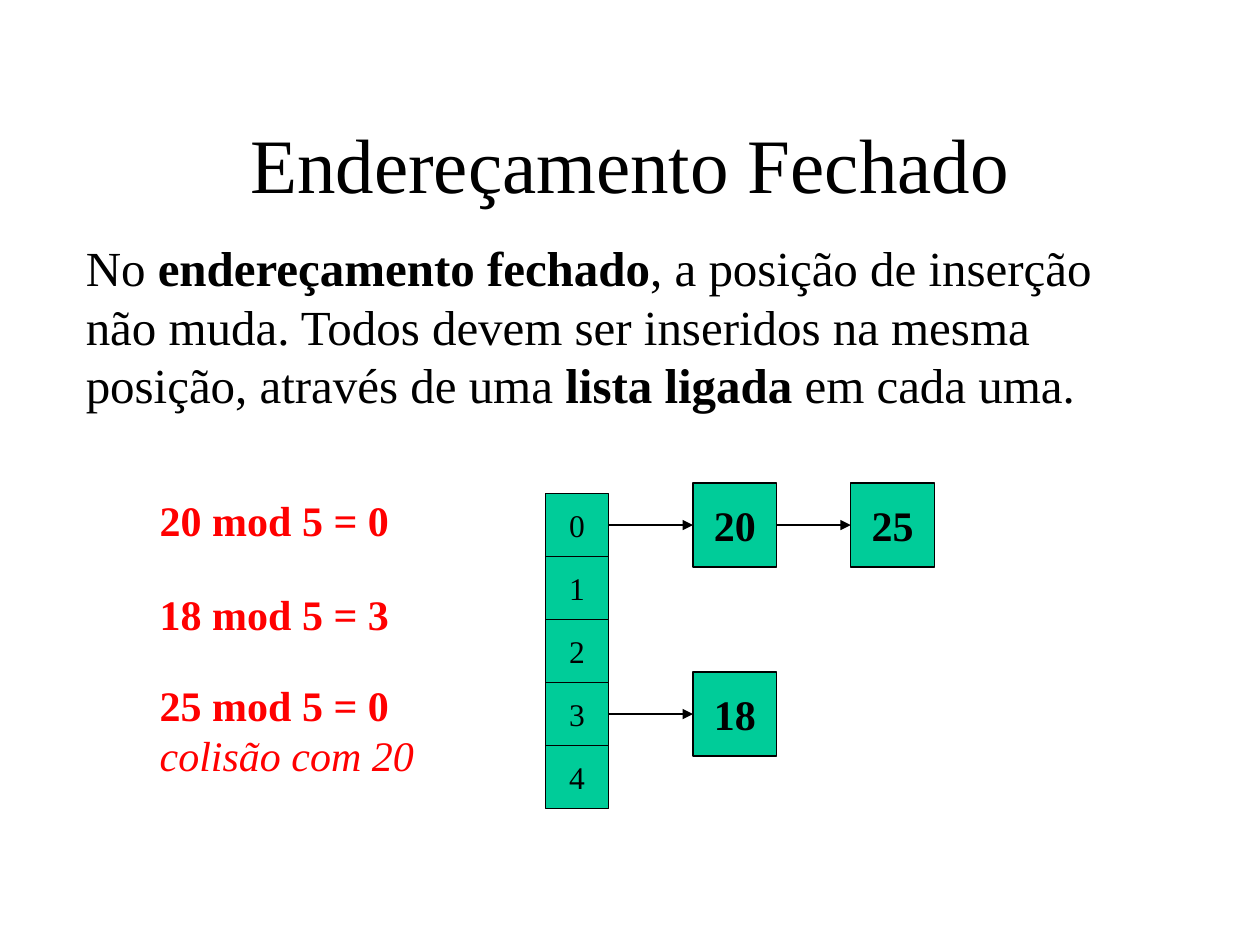
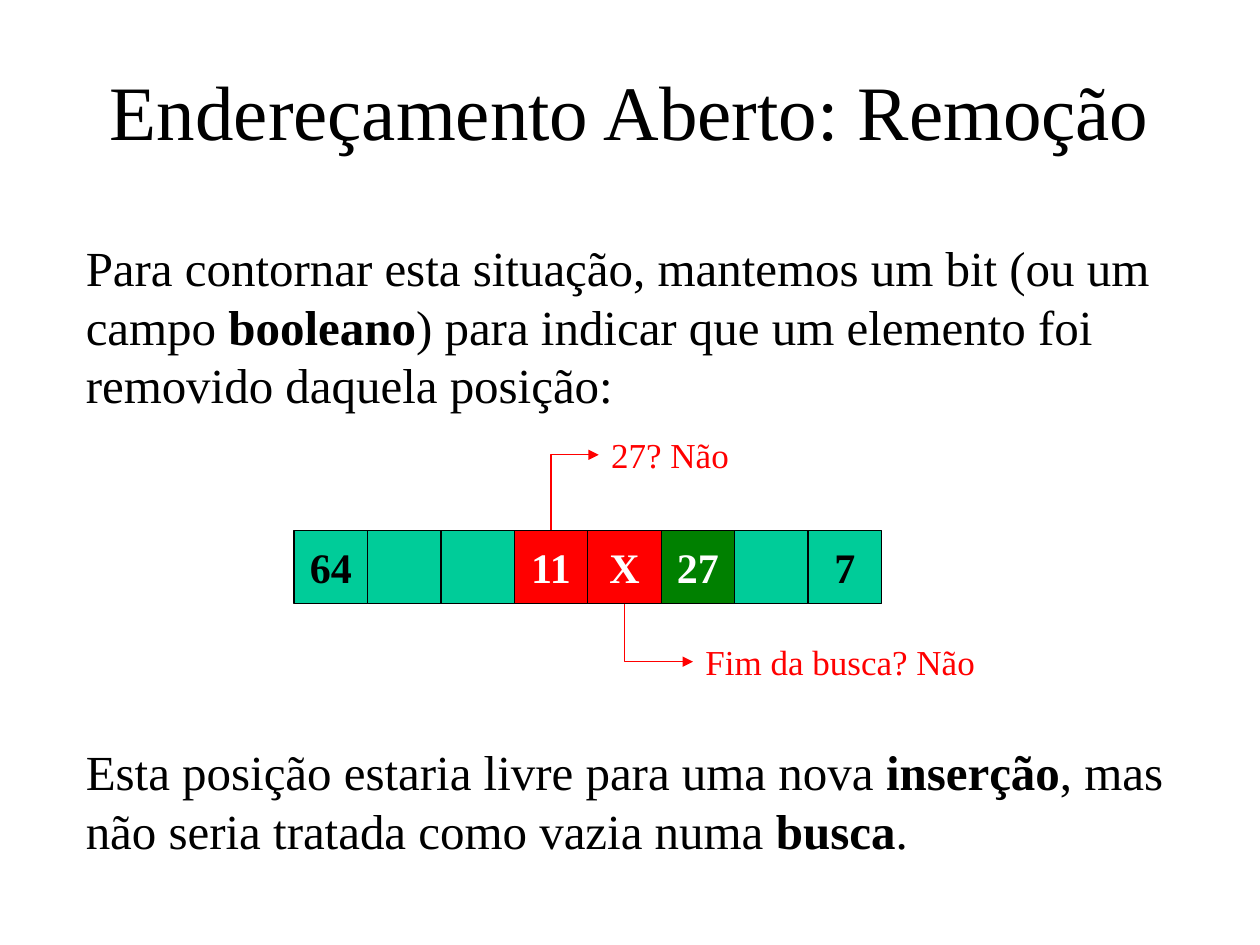
from lxml import etree
from pptx import Presentation
from pptx.dml.color import RGBColor
from pptx.enum.shapes import MSO_CONNECTOR, MSO_SHAPE
from pptx.enum.text import MSO_ANCHOR, PP_ALIGN
from pptx.oxml.ns import qn
from pptx.util import Cm, Pt

RECT = MSO_SHAPE.RECTANGLE
STRAIGHT, ELBOW = MSO_CONNECTOR.STRAIGHT, MSO_CONNECTOR.ELBOW
LEFT, CENTER = PP_ALIGN.LEFT, PP_ALIGN.CENTER
TOP, MIDDLE = MSO_ANCHOR.TOP, MSO_ANCHOR.MIDDLE
FONT = "Times New Roman"
COLORS = {"black": "000000", "white": "FFFFFF", "teal": "00CC99",
          "red": "FF0000", "green": "008000"}
RGB = {name: RGBColor.from_string(value) for name, value in COLORS.items()}


def write(s, text, size, color="black", align=LEFT, anchor=MIDDLE, wrap=False, bold=False):
    tf = s.text_frame
    tf.word_wrap = wrap
    tf.vertical_anchor = anchor
    p = tf.paragraphs[0]
    p.alignment = align
    p.font.name = FONT
    p.font.size = Pt(size)
    p.font.color.rgb = RGB[color]
    for i, part in enumerate(text.split("**")):
        if part:
            r = p.add_run()
            r.text = part
            r.font.bold = bold or i % 2 == 1
    return p


def add_box(slide, x, y, side, text, size, fill="teal", color="black", bold=True):
    s = slide.shapes.add_shape(RECT, Cm(x), Cm(y), Cm(side), Cm(side))
    s.shadow.inherit = False
    s.fill.solid()
    s.fill.fore_color.rgb = RGB[fill]
    s.line.color.rgb = RGB["black"]
    s.line.width = Pt(0.75)
    if text:
        write(s, text, size, color, CENTER, bold=bold)
    return s


prs = Presentation()
prs.slide_width, prs.slide_height = Cm(25.4), Cm(19.05)
slides = []
for title, title_top, bodies in [
    ("Endereçamento Fechado", 1.7, [
        (4.66, 3.81, "No **endereçamento fechado**, a posição de inserção não muda. "
         "Todos devem ser inseridos na mesma posição, através de uma **lista ligada** em cada uma.")]),
    ("Endereçamento Aberto: Remoção", 0.64, [
        (4.66, 3.81, "Para contornar esta situação, mantemos um bit (ou um campo **booleano**) "
         "para indicar que um elemento foi removido daquela posição:"),
        (14.82, 2.64, "Esta posição estaria livre para uma nova **inserção**, "
         "mas não seria tratada como vazia numa **busca**.")]),
]:
    slide = prs.slides.add_slide(prs.slide_layouts[6])
    s = slide.shapes.add_textbox(Cm(1.9), Cm(title_top), Cm(21.6), Cm(3.15))
    write(s, title, 44, align=CENTER, wrap=True)
    for top, height, text in bodies:
        s = slide.shapes.add_textbox(Cm(1.48), Cm(top), Cm(22.43), Cm(height))
        write(s, text, 28, anchor=TOP, wrap=True)
    slides.append(slide)
closed, opened = slides
arrows = []

SLOT, NODE = 1.27, 1.69
slots_x, slots_y = 11.0, 9.95
slots = [add_box(closed, slots_x, slots_y + i * SLOT, SLOT, str(i), 18, bold=False)
         for i in range(5)]
for i, keys in [(0, ["20", "25"]), (3, ["18"])]:
    prev = slots[i]
    node_y = slots_y + (i + 0.5) * SLOT - NODE / 2
    for j, key in enumerate(keys):
        s = add_box(closed, 13.97 + j * 3.18, node_y, NODE, key, 24)
        c = closed.shapes.add_connector(STRAIGHT, 0, 0, 0, 0)
        c.begin_connect(prev, 3)
        c.end_connect(s, 1)
        arrows.append((c, "black"))
        prev = s

for text, top, height in [
    ("20 mod 5 = 0", 9.74, 1.48),
    ("18 mod 5 = 3", 11.64, 1.48),
    ("25 mod 5 = 0", 13.55, 2.33),
]:
    s = closed.shapes.add_textbox(Cm(2.97), Cm(top), Cm(6), Cm(height))
    p = write(s, text, 24, "red", wrap=True, bold=True)
p.add_line_break()
r = p.add_run()
r.text = "colisão com 20"
r.font.italic = True

CELL = 1.48
cells_x, cells_y = 5.93, 10.69
for text, i, label_x, label_y, width, start_y, turn in [
    ("27? Não", 3, 12.07, 9.17, 4.87, cells_y, 90),
    ("Fim da busca? Não", 4, 13.97, 13.34, 6.14, cells_y + CELL, 270),
]:
    s = opened.shapes.add_textbox(Cm(label_x), Cm(label_y - 0.64), Cm(width), Cm(1.27))
    write(s, text, 20, "red")
    start_x = cells_x + (i + 0.5) * CELL
    mid_x, mid_y = (start_x + label_x) / 2, (start_y + label_y) / 2
    half_w = abs(label_y - start_y) / 2
    half_h = (start_y - label_y) / abs(start_y - label_y) * (label_x - start_x) / 2
    c = opened.shapes.add_connector(ELBOW, Cm(mid_x + half_w), Cm(mid_y + half_h),
                                    Cm(mid_x - half_w), Cm(mid_y - half_h))
    spPr = c._element.spPr
    spPr.find(qn("a:xfrm")).set("rot", str(turn * 60000))
    spPr.find(qn("a:prstGeom")).set("prst", "bentConnector2")
    arrows.append((c, "red"))

cells = [("64", "teal"), ("", "teal"), ("", "teal"), ("11", "red"),
         ("X", "red"), ("27", "green"), ("", "teal"), ("7", "teal")]
for i, (text, fill) in enumerate(cells):
    color = "black" if fill == "teal" else "white"
    add_box(opened, cells_x + i * CELL, cells_y, CELL, text, 24, fill, color)

for c, color in arrows:
    c.line.color.rgb = RGB[color]
    c.line.width = Pt(0.75)
    etree.SubElement(c.line._get_or_add_ln(), qn("a:tailEnd"), type="triangle")
    etree.SubElement(c._element.spPr, qn("a:effectLst"))

prs.save("out.pptx")
